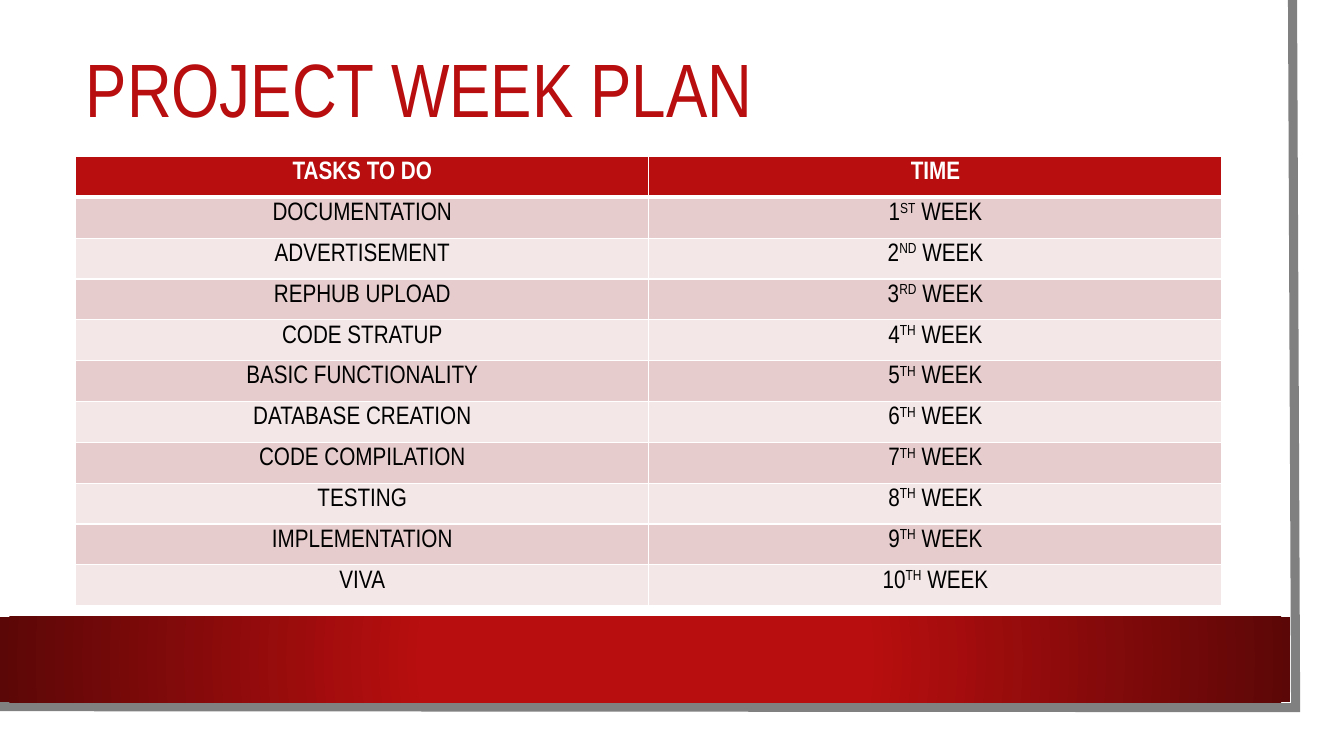
from dataclasses import dataclass
from typing import Any

from lxml.etree import SubElement
from pptx import Presentation
from pptx.dml.color import RGBColor
from pptx.enum.shapes import MSO_SHAPE as Preset
from pptx.enum.text import MSO_ANCHOR as Anchor, MSO_AUTO_SIZE as AutoSize, PP_ALIGN as Align
from pptx.oxml.ns import qn
from pptx.util import Emu, Inches, Pt

SLIDE_WIDTH, SLIDE_HEIGHT = Inches(13.33), Inches(7.5)


@dataclass(frozen=True)
class Theme:
    font: str = "Arial Narrow"
    title_size: int = 54
    table_size: int = 18
    red: str = "B80E0F"
    dark_red: str = "5C0707"
    edge: str = "808080"
    bands: tuple[str, str] = ("E6CCCC", "F3E7E7")
    white: str = "FFFFFF"
    black: str = "000000"


@dataclass(frozen=True)
class Area:
    """A rectangle in percent of the slide's width and height."""
    left: float
    top: float
    width: float
    height: float

    def box(self) -> tuple[Emu, Emu, Emu, Emu]:
        return across(self.left), down(self.top), across(self.width), down(self.height)


@dataclass(frozen=True)
class Week:
    task: str
    number: int
    suffix: str = "TH"


THEME = Theme()
TITLE_AREA = Area(5.63, 3.87, 85.3, 16.8)
TABLE_AREA = Area(5.63, 20.7, 85.3, 59.47)
BAND_AREA = Area(0, 81.6, 96.02, 11.33)
PAGE_EDGE = ((96.17, 0), (96.4, 93.6), (-0.23, 93.47))
HEADINGS = ("TASKS TO DO", "TIME")
PLAN = (
    Week("DOCUMENTATION", 1, "ST"),
    Week("ADVERTISEMENT", 2, "ND"),
    Week("REPHUB UPLOAD", 3, "RD"),
    Week("CODE STRATUP", 4),
    Week("BASIC FUNCTIONALITY", 5),
    Week("DATABASE CREATION", 6),
    Week("CODE COMPILATION", 7),
    Week("TESTING", 8),
    Week("IMPLEMENTATION", 9),
    Week("VIVA", 10),
)


def across(percent: float) -> Emu:
    return Emu(round(SLIDE_WIDTH * percent / 100))


def down(percent: float) -> Emu:
    return Emu(round(SLIDE_HEIGHT * percent / 100))


def set_format(target: Any, formats: dict[str, Any]) -> None:
    for attribute, value in formats.items():
        setattr(target, attribute, value)


def add_run(paragraph: Any, text: str, size: int, color: str, bold: bool = False) -> Any:
    run = paragraph.add_run()
    run.text = text
    set_format(run.font, {"name": THEME.font, "size": Pt(size), "bold": bold})
    run.font.color.rgb = RGBColor.from_string(color)
    return run


def draw_page_edge(slide: Any) -> None:
    corners = [(across(x), down(y)) for x, y in PAGE_EDGE]
    builder = slide.shapes.build_freeform(*corners[0])
    builder.add_line_segments(corners[1:], close=False)
    edge = builder.convert_to_shape()
    edge.shadow.inherit = False
    edge.fill.background()
    edge.line.color.rgb = RGBColor.from_string(THEME.edge)
    edge.line.width = Pt(6.5)
    SubElement(edge.line._get_or_add_ln(), qn("a:miter"), lim="800000")


def draw_bottom_band(slide: Any) -> None:
    """Draw the red band, darkening from its centre outwards."""
    band = slide.shapes.add_shape(Preset.RECTANGLE, *BAND_AREA.box())
    band.shadow.inherit = False
    band.line.fill.background()
    band.fill.gradient()
    for stop, position, color in zip(band.fill.gradient_stops, (0.34, 1), (THEME.red, THEME.dark_red)):
        stop.position = position
        stop.color.rgb = RGBColor.from_string(color)
    gradient = band._element.spPr.find(qn("a:gradFill"))
    gradient.remove(gradient.find(qn("a:lin")))
    circle = SubElement(gradient, qn("a:path"), path="circle")
    SubElement(circle, qn("a:fillToRect"), dict.fromkeys("ltrb", "50000"))


def write_title(slide: Any) -> None:
    title = slide.shapes.title
    set_format(title, dict(zip(("left", "top", "width", "height"), TITLE_AREA.box())))
    set_format(title.text_frame, {"word_wrap": True, "auto_size": AutoSize.NONE,
                                  "vertical_anchor": Anchor.MIDDLE})
    paragraph = title.text_frame.paragraphs[0]
    set_format(paragraph, {"alignment": Align.LEFT, "line_spacing": 0.9})
    add_run(paragraph, "PROJECT WEEK PLAN", THEME.title_size, THEME.red)


def paint_cell(cell: Any, fill: str, widths: dict[str, int]) -> None:
    """Fill a cell and give it white borders, widths in points by side."""
    cell.fill.solid()
    cell.fill.fore_color.rgb = RGBColor.from_string(fill)
    properties = cell._tc.get_or_add_tcPr()
    for index, (side, width) in enumerate(widths.items()):
        border = SubElement(properties, qn(f"a:ln{side}"), w=str(Pt(width)))
        SubElement(SubElement(border, qn("a:solidFill")), qn("a:srgbClr"), val=THEME.white)
        properties.insert(index, border)


def draw_plan(slide: Any) -> None:
    row_count = len(PLAN) + 1
    table = slide.shapes.add_table(row_count, len(HEADINGS), *TABLE_AREA.box()).table
    table.horz_banding = False
    for row in table.rows:
        row.height = down(TABLE_AREA.height / row_count)

    header = [[(heading, False)] for heading in HEADINGS]
    weeks = [[[(week.task, False)],
              [(str(week.number), False), (week.suffix, True), (" WEEK", False)]] for week in PLAN]
    for row_index, contents in enumerate([header, *weeks]):
        is_header = row_index == 0
        fill = THEME.red if is_header else THEME.bands[(row_index - 1) % 2]
        color = THEME.white if is_header else THEME.black
        widths = {"L": 1, "R": 1, "T": 3 if row_index == 1 else 1, "B": 3 if is_header else 1}
        for column, pieces in enumerate(contents):
            cell = table.cell(row_index, column)
            paint_cell(cell, fill, widths)
            paragraph = cell.text_frame.paragraphs[0]
            paragraph.alignment = Align.CENTER
            for text, raised in pieces:
                run = add_run(paragraph, text, THEME.table_size, color, is_header)
                if raised:
                    run._r.get_or_add_rPr().set("baseline", "30000")


def main() -> None:
    deck = Presentation()
    set_format(deck, {"slide_width": SLIDE_WIDTH, "slide_height": SLIDE_HEIGHT})
    slide = deck.slides.add_slide(deck.slide_layouts.get_by_name("Title Only"))
    draw_page_edge(slide)
    draw_bottom_band(slide)
    write_title(slide)
    draw_plan(slide)
    deck.save("out.pptx")


if __name__ == "__main__":
    main()
